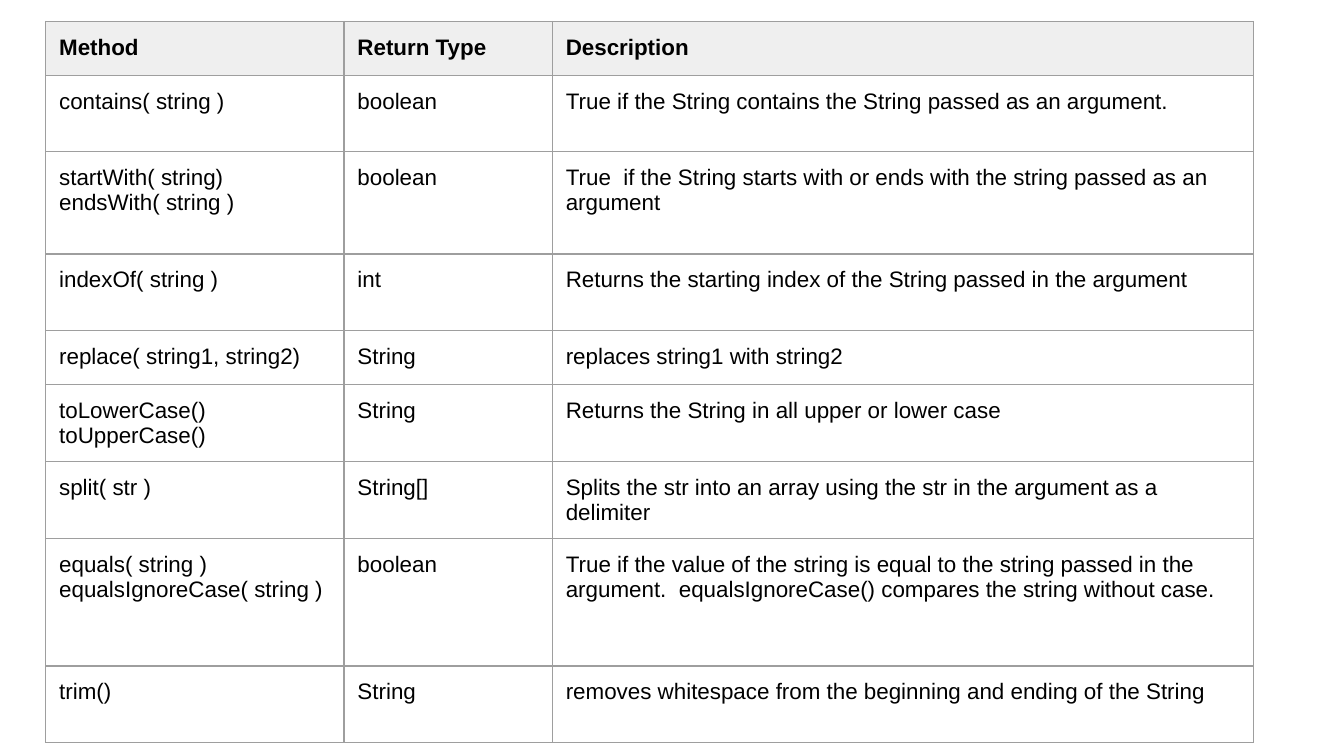
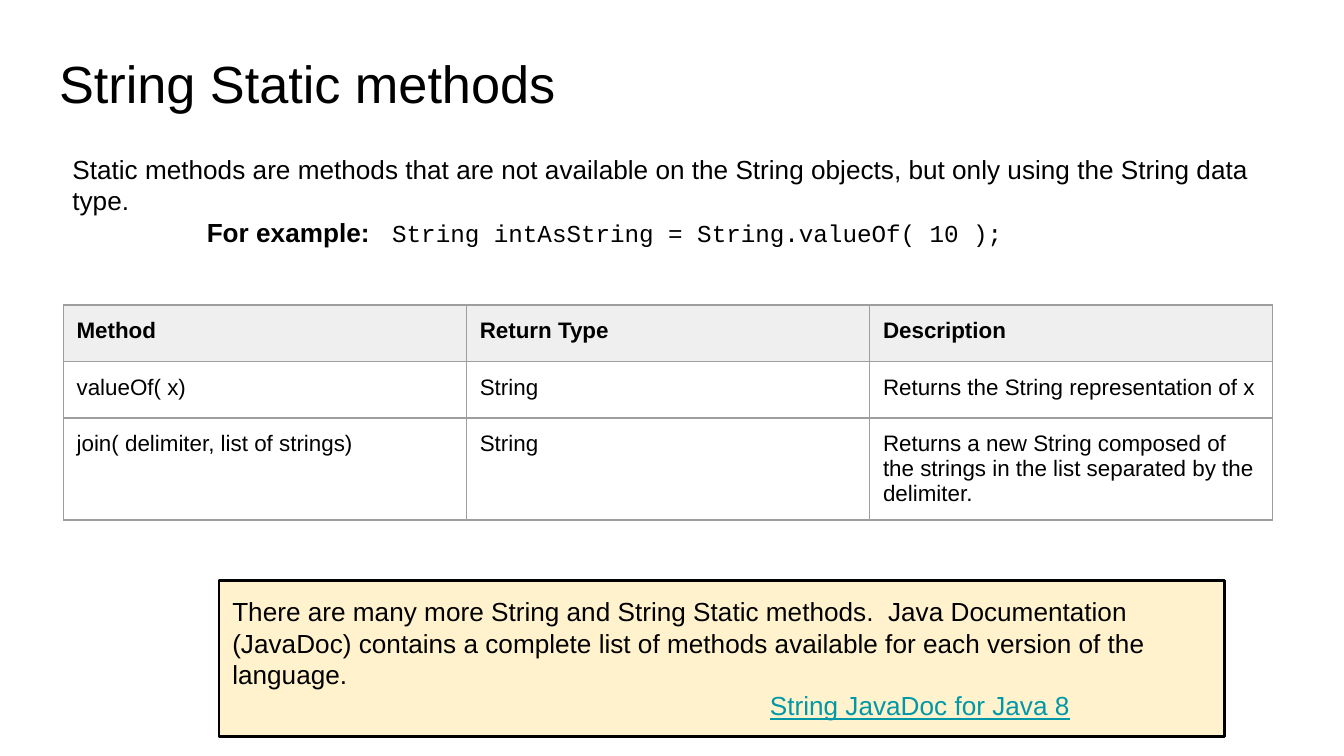
import pptx
import pptx.util
import pptx.dml.color
import pptx.enum.shapes
import pptx.enum.text
import pptx.oxml
import pptx.oxml.ns
from pptx.util import Inches

BLACK, GREY, HEADER, NOTE, LINK = "000000", "9E9E9E", "EFEFEF", "FFF2CC", "0097A7"
HEADINGS = ("Method", "Return Type", "Description")
NAMESPACE = pptx.oxml.ns.nsdecls("a")
ANCHOR = pptx.enum.text.MSO_ANCHOR


def style(target, size, color=BLACK, bold=False, font="Arial"):
    """Format the font of a run."""
    target.font.size = pptx.util.Pt(size)
    target.font.name = font
    target.font.bold = bold
    target.font.color.rgb = pptx.dml.color.RGBColor.from_string(color)


def add_method_table(slide, left, top, widths, heights, rows):
    """Add a bordered table of methods under the shared headings."""
    table = slide.shapes.add_table(
        len(heights), len(widths), Inches(left), Inches(top),
        Inches(sum(widths)), Inches(sum(heights))).table
    table.first_row = table.horz_banding = False
    for column, width in zip(table.columns, widths):
        column.width = Inches(width)
    for row, height in zip(table.rows, heights):
        row.height = Inches(height)
    for row_index, texts in enumerate([HEADINGS, *rows]):
        for column_index, text in enumerate(texts):
            cell = table.cell(row_index, column_index)
            cell.margin_left = cell.margin_right = Inches(0.1)
            cell.margin_top = cell.margin_bottom = Inches(0.1)
            cell.text_frame.text = text
            for para in cell.text_frame.paragraphs:
                for span in para.runs:
                    style(span, 12, bold=row_index == 0)
            for side in ("lnL", "lnR", "lnT", "lnB"):
                cell._tc.get_or_add_tcPr().append(pptx.oxml.parse_xml(
                    f'<a:{side} {NAMESPACE} w="9525"><a:solidFill>'
                    f'<a:srgbClr val="{GREY}"/></a:solidFill></a:{side}>'))
            if row_index == 0:
                cell.fill.solid()
                cell.fill.fore_color.rgb = pptx.dml.color.RGBColor.from_string(HEADER)
            else:
                cell.fill.background()


# Widescreen deck, 16 by 9
deck = pptx.Presentation()
deck.slide_width = Inches(10)
deck.slide_height = Inches(10) * 9 // 16

# Slide 1: instance methods
slide = deck.slides.add_slide(deck.slide_layouts[6])
add_method_table(
    slide, 0.34, 0.16, [2.22, 1.55, 5.22],
    [0.4, 0.57, 0.76, 0.57, 0.4, 0.57, 0.57, 0.95, 0.57],
    [
        ("contains( string )", "boolean",
         "True if the String contains the String passed as an argument."),
        ("startWith( string)\vendsWith( string )", "boolean",
         "True  if the String starts with or ends with the string passed as an argument"),
        ("indexOf( string )", "int",
         "Returns the starting index of the String passed in the argument"),
        ("replace( string1, string2)", "String", "replaces string1 with string2"),
        ("toLowerCase()\vtoUpperCase()", "String",
         "Returns the String in all upper or lower case"),
        ("split( str )", "String[]",
         "Splits the str into an array using the str in the argument as a delimiter"),
        ("equals( string )\vequalsIgnoreCase( string )", "boolean",
         "True if the value of the string is equal to the string passed in the argument.  "
         "equalsIgnoreCase() compares the string without case."),
        ("trim()", "String",
         "removes whitespace from the beginning and ending of the String"),
    ])

# Slide 2: static methods
slide = deck.slides.add_slide(deck.slide_layouts[5])
title = slide.shapes.title
title.left, title.top = Inches(0.34), Inches(0.28)
title.width, title.height = Inches(9.32), Inches(0.63)
title.text_frame.text = "String Static methods"
title.text_frame.paragraphs[0].alignment = pptx.enum.text.PP_ALIGN.LEFT
style(title.text_frame.paragraphs[0].runs[0], 28)

add_method_table(
    slide, 0.47, 2.27, [3, 3, 3], [0.42] * 3,
    [
        ("valueOf( x)", "String", "Returns the String representation of x"),
        ("join( delimiter, list of strings)", "String",
         "Returns a new String composed of the strings in the list "
         "separated by the delimiter."),
    ])

# Introduction and closing note
intro = slide.shapes.add_textbox(Inches(0.44), Inches(1.04), Inches(9.05), Inches(0.95))
note = slide.shapes.add_shape(
    pptx.enum.shapes.MSO_SHAPE.RECTANGLE,
    Inches(1.63), Inches(4.32), Inches(7.48), Inches(1.16))
note.shadow.inherit = False
note.fill.solid()
note.fill.fore_color.rgb = pptx.dml.color.RGBColor.from_string(NOTE)
note.line.color.rgb = pptx.dml.color.RGBColor.from_string(BLACK)
note.line.width = pptx.util.Pt(1.5)

# Each box holds a sentence, then a line set on tab stops
for box, sentence, stops, spans in (
    (intro,
     "Static methods are methods that are not available on the String objects, "
     "but only using the String data type.",
     [1, 2.38],
     [("\tFor example:\t", 14, BLACK, True, "Arial"),
      ("String intAsString = String.valueOf( 10 );", 13, BLACK, False, "Courier New")]),
    (note,
     "There are many more String and String Static methods.  Java Documentation (JavaDoc) "
     "contains a complete list of methods available for each version of the language.",
     [4],
     [("\t", 14, BLACK, False, "Arial"),
      ("String JavaDoc for Java 8", 14, LINK, False, "Arial")]),
):
    box.text_frame.text = sentence
    style(box.text_frame.paragraphs[0].runs[0], 14)
    para = box.text_frame.add_paragraph()
    for text, *look in spans:
        span = para.add_run()
        span.text = text
        style(span, *look)
        if LINK in look:
            span.font.underline = True
    for line in box.text_frame.paragraphs:
        line.alignment = pptx.enum.text.PP_ALIGN.LEFT
    tabs = "".join(f'<a:tab pos="{Inches(stop)}" algn="l"/>' for stop in stops)
    para._p.get_or_add_pPr().append(
        pptx.oxml.parse_xml(f"<a:tabLst {NAMESPACE}>{tabs}</a:tabLst>"))

for box, anchor in ((title, ANCHOR.TOP), (intro, ANCHOR.TOP), (note, ANCHOR.MIDDLE)):
    frame = box.text_frame
    frame.word_wrap = True
    frame.auto_size = pptx.enum.text.MSO_AUTO_SIZE.NONE
    frame.vertical_anchor = anchor
    frame.margin_left = frame.margin_right = Inches(0.1)
    frame.margin_top = frame.margin_bottom = Inches(0.1)

deck.save("out.pptx")
